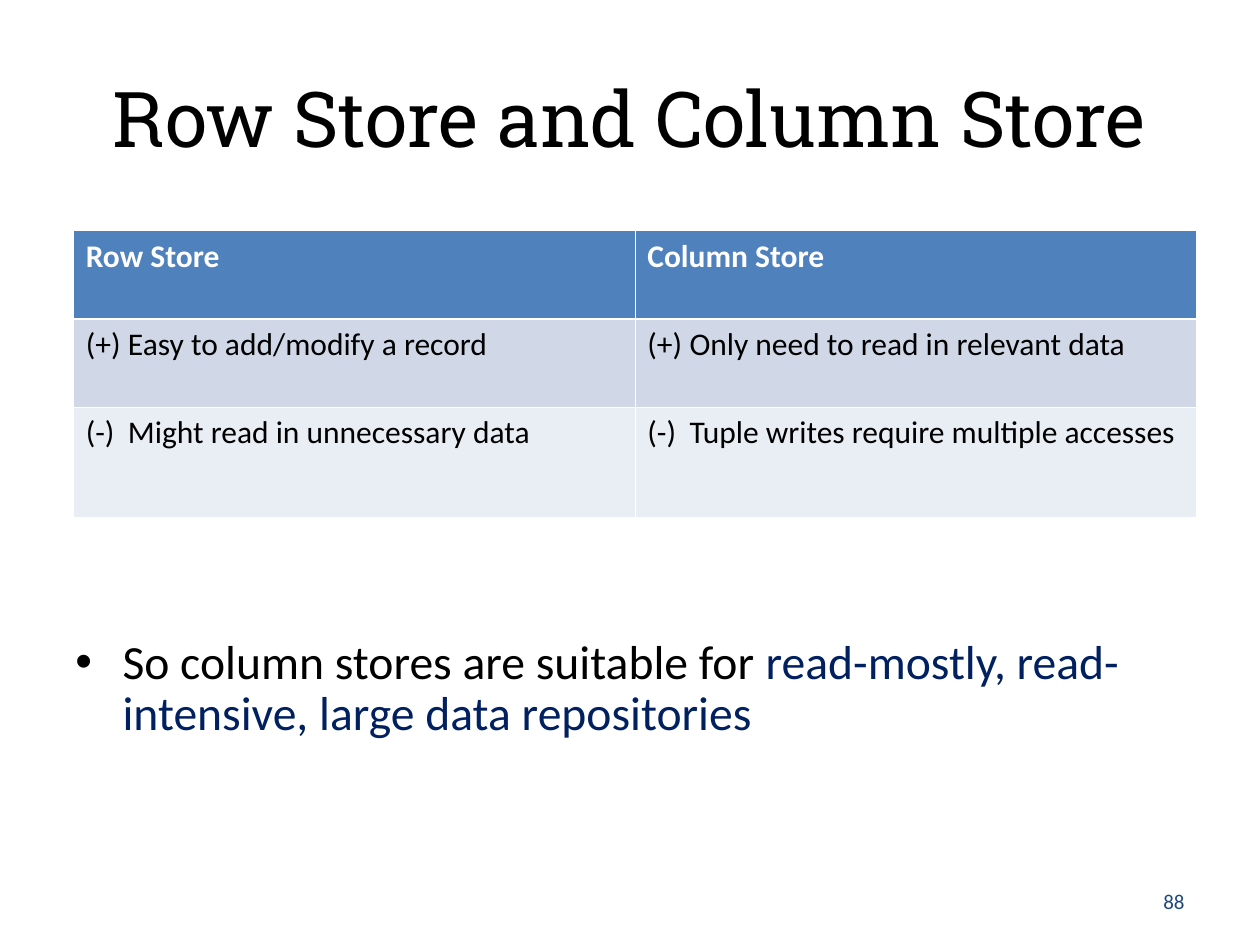
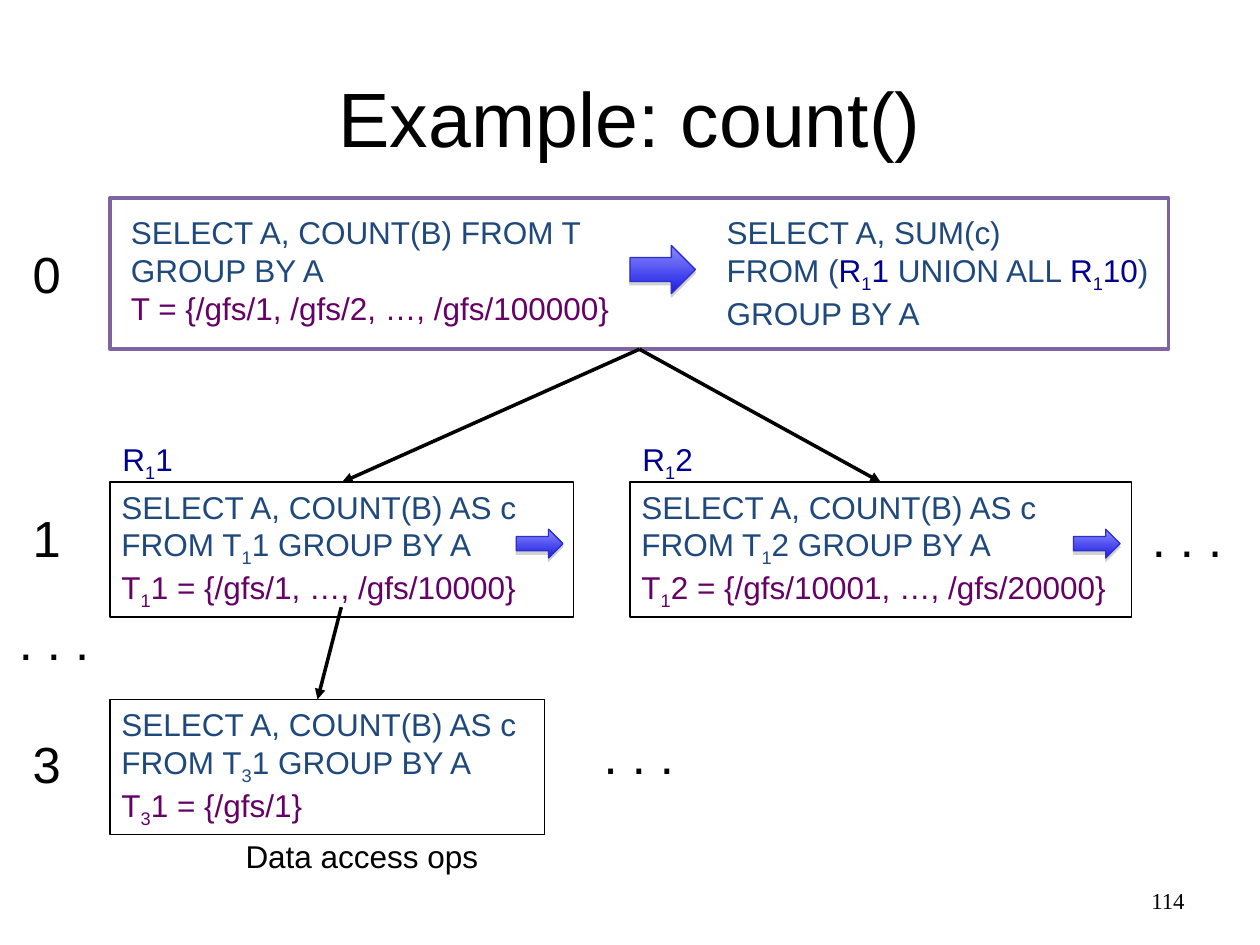
"""Build two slides on column stores and distributed count() queries."""
from dataclasses import dataclass

import lxml.etree
import pptx
import pptx.dml.color
import pptx.enum.shapes
import pptx.enum.text
import pptx.oxml.ns
import pptx.util

Cm = pptx.util.Cm
Pt = pptx.util.Pt
ALIGN = pptx.enum.text.PP_ALIGN
ANCHOR = pptx.enum.text.MSO_ANCHOR
AUTO_SIZE = pptx.enum.text.MSO_AUTO_SIZE
SHAPE = pptx.enum.shapes.MSO_SHAPE

BLACK, WHITE = "000000", "FFFFFF"
BLUE, NAVY, PURPLE = "1F497D", "000090", "660066"
EMPHASIS, ROOT_BORDER = "002060", "8064A2"
HEADER_FILL, ODD_FILL, EVEN_FILL = "4F81BD", "D0D8E8", "E9EDF4"
ARROW_TOP, ARROW_BOTTOM, ARROW_LINE = "8B8BFF", "1C1CE3", "2E2ECB"
TIGHT_MARGINS, WIDE_MARGINS = (0.23, 0.11), (0.25, 0.13)
THIN, THICK = 0.45, 1.47


@dataclass(frozen=True)
class Box:
    """Position and size in centimetres."""
    left: float
    top: float
    width: float
    height: float

    def lengths(self) -> tuple:
        return Cm(self.left), Cm(self.top), Cm(self.width), Cm(self.height)


@dataclass(frozen=True)
class Span:
    """A piece of text with one colour."""
    text: str
    color: str = BLACK
    subscript: bool = False


@dataclass(frozen=True)
class Style:
    """Font settings shared by the spans of a text."""
    font: str
    size: float
    bold: bool = False


@dataclass(frozen=True)
class Label:
    """A one-line text beside the query tree."""
    box: Box
    spans: tuple
    size: float


@dataclass(frozen=True)
class Query:
    """A bordered query over one table partition."""
    box: Box
    level: str
    index: str
    files: str


TITLE_BOX = Box(1.27, 0.76, 22.86, 3.18)
NUMBER_BOX = Box(18.21, 17.65, 5.92, 1.02)
CODE = Style("Arial", 18)


def rgb(color: str) -> pptx.dml.color.RGBColor:
    return pptx.dml.color.RGBColor.from_string(color)


def add_xml(parent, tag: str, **attributes: str):
    """Append a DrawingML element."""
    return lxml.etree.SubElement(parent, pptx.oxml.ns.qn(f"a:{tag}"), attributes)


def add_spans(paragraph, spans: tuple, style: Style) -> None:
    """Add formatted runs, with line breaks at newlines."""
    for span in spans:
        for position, text in enumerate(span.text.split("\n")):
            if position:
                paragraph.add_line_break()
            if not text:
                continue
            run = paragraph.add_run()
            run.text = text
            run.font.name, run.font.size = style.font, Pt(style.size)
            run.font.bold = style.bold
            run.font.color.rgb = rgb(span.color)
            if span.subscript:
                run._r.get_or_add_rPr().set("baseline", "-25000")


def set_margins(target, margins: tuple) -> None:
    target.margin_left = target.margin_right = Cm(margins[0])
    target.margin_top = target.margin_bottom = Cm(margins[1])


def fill_frame(frame, paragraphs: tuple, style: Style, margins: tuple = TIGHT_MARGINS,
               align=ALIGN.LEFT, anchor=ANCHOR.TOP) -> None:
    """Set up a text frame and write its paragraphs."""
    frame.word_wrap = True
    frame.auto_size = AUTO_SIZE.NONE
    frame.vertical_anchor = anchor
    set_margins(frame, margins)
    for position, spans in enumerate(paragraphs):
        paragraph = frame.add_paragraph() if position else frame.paragraphs[0]
        paragraph.alignment = align
        add_spans(paragraph, spans, style)


def add_text(slide, box: Box, paragraphs: tuple, style: Style, **options) -> None:
    fill_frame(slide.shapes.add_textbox(*box.lengths()).text_frame, paragraphs, style, **options)


def place(shape, box: Box) -> None:
    shape.left, shape.top, shape.width, shape.height = box.lengths()


def add_slide(presentation, layout: int, title: str, title_font: str, number: Span, number_style: Style):
    """Add a slide with its title and number."""
    slide = presentation.slides.add_slide(presentation.slide_layouts[layout])
    place(slide.shapes.title, TITLE_BOX)
    fill_frame(slide.shapes.title.text_frame, ((Span(title),),), Style(title_font, 44),
               margins=WIDE_MARGINS, align=ALIGN.CENTER, anchor=ANCHOR.MIDDLE)
    add_text(slide, NUMBER_BOX, ((number,),), number_style, margins=WIDE_MARGINS,
             align=ALIGN.RIGHT, anchor=ANCHOR.MIDDLE)
    return slide


def add_rectangle(slide, box: Box, color: str, width: float):
    """Add an unfilled rectangle with a border."""
    rectangle = slide.shapes.add_shape(SHAPE.RECTANGLE, *box.lengths())
    rectangle.shadow.inherit = False
    rectangle.fill.background()
    rectangle.line.color.rgb = rgb(color)
    rectangle.line.width = Pt(width)
    return rectangle


def add_block_arrow(slide, box: Box) -> None:
    """Add a shaded arrow pointing right."""
    arrow = slide.shapes.add_shape(SHAPE.RIGHT_ARROW, *box.lengths())
    arrow.fill.gradient()
    arrow.fill.gradient_angle = 270
    for stop, color in zip(arrow.fill.gradient_stops, (ARROW_TOP, ARROW_BOTTOM)):
        stop.color.rgb = rgb(color)
    arrow.line.color.rgb = rgb(ARROW_LINE)
    arrow.line.width = Pt(0.75)
    arrow.shadow.inherit = False
    effects = arrow._element.spPr.find(pptx.oxml.ns.qn("a:effectLst"))
    shadow = add_xml(effects, "outerShdw", blurRad="0", dist=str(Pt(1.8)), dir="5400000", rotWithShape="0")
    add_xml(add_xml(shadow, "srgbClr", val="808080"), "alpha", val="35000")


def add_link(slide, start: tuple = (0, 0), end: tuple = (0, 0)):
    """Add a straight line that ends in an arrowhead."""
    link = slide.shapes.add_connector(pptx.enum.shapes.MSO_CONNECTOR.STRAIGHT,
                                      *(Cm(value) for value in start + end))
    link.line.color.rgb = rgb(BLACK)
    link.line.width = Pt(2)
    add_xml(link.line._get_or_add_ln(), "tailEnd", type="triangle")
    add_xml(link._element.spPr, "effectLst")
    return link


def indexed(name: str, level: str, index: str, color: str) -> tuple:
    """Return a name with a subscript level and an index."""
    return Span(name, color), Span(level, color, subscript=True), Span(index, color)


def set_borders(cell, top: float, bottom: float) -> None:
    """Give a cell white borders."""
    properties = cell._tc.get_or_add_tcPr()
    for side, width in (("L", THIN), ("R", THIN), ("T", top), ("B", bottom)):
        border = add_xml(properties, f"ln{side}", w=str(Pt(width)))
        add_xml(add_xml(border, "solidFill"), "srgbClr", val=WHITE)


def add_comparison_table(slide) -> None:
    """Add the table of strengths and weaknesses."""
    rows = (
        (1.78, HEADER_FILL, WHITE, THIN, THICK, ("Row Store", "Column Store")),
        (1.78, ODD_FILL, BLACK, THICK, THIN,
         ("(+)\tEasy to add/modify a record", "(+)\tOnly need to read in relevant data")),
        (2.21, EVEN_FILL, BLACK, THIN, THIN,
         ("(-)\tMight read in unnecessary data", "(-)\tTuple writes require multiple accesses")),
    )
    table = slide.shapes.add_table(len(rows), 2, *Box(1.48, 4.65, 22.64, 5.77).lengths()).table
    for column in table.columns:
        column.width = Cm(11.32)
    for row_index, (height, fill, color, top, bottom, texts) in enumerate(rows):
        table.rows[row_index].height = Cm(height)
        for column_index, text in enumerate(texts):
            cell = table.cell(row_index, column_index)
            set_borders(cell, top, bottom)
            cell.fill.solid()
            cell.fill.fore_color.rgb = rgb(fill)
            set_margins(cell, WIDE_MARGINS)
            paragraph = cell.text_frame.paragraphs[0]
            tabs = add_xml(paragraph._p.get_or_add_pPr(), "tabLst")
            add_xml(tabs, "tab", pos=str(Cm(0.85)), algn="l")
            add_spans(paragraph, (Span(text, color),), Style("Calibri", 18, bold=row_index == 0))


def build_store_slide(presentation) -> None:
    """Compare row stores with column stores."""
    slide = add_slide(presentation, 1, "Row Store and Column Store", "Roboto Slab",
                      Span("88", BLUE), Style("Calibri", 12))
    add_comparison_table(slide)
    body = slide.placeholders[1]
    place(body, Box(1.27, 12.73, 22.86, 3.6))
    conclusion = (Span("So column stores are suitable for "),
                  Span("read-mostly, read-intensive, large data repositories", EMPHASIS))
    paragraph = body.text_frame.paragraphs[0]
    properties = paragraph._p.get_or_add_pPr()
    properties.set("marL", str(Cm(0.95)))
    properties.set("indent", str(Cm(-0.95)))
    add_xml(properties, "buFont", typeface="Arial")
    add_xml(properties, "buChar", char="•")
    paragraph.line_spacing = 0.9
    paragraph.space_before = Pt(0)
    fill_frame(body.text_frame, (conclusion,), Style("Calibri", 27.2), margins=WIDE_MARGINS)


def add_query(slide, query: Query):
    """Add a query over one partition and return its rectangle."""
    rectangle = add_rectangle(slide, query.box, BLACK, 0.75)
    table_name = indexed("T", query.level, query.index, BLUE)
    statement = (Span("SELECT A, COUNT(B) AS c\nFROM ", BLUE), *table_name, Span(" GROUP BY A", BLUE))
    partition = (*indexed("T", query.level, query.index, PURPLE), Span(f" = {{{query.files}}}", PURPLE))
    fill_frame(rectangle.text_frame, (statement, partition), CODE)
    return rectangle


def build_count_slide(presentation) -> None:
    """Show how count() is split over a serving tree."""
    slide = add_slide(presentation, 5, "Example: count()", "Arial",
                      Span("114"), Style("Times New Roman", 13))
    root = add_rectangle(slide, Box(2.22, 3.99, 21.34, 3.05), ROOT_BORDER, 2)
    add_text(slide, Box(2.41, 4.19, 11.25, 2.51), (
        (Span("SELECT A, COUNT(B) FROM T GROUP BY A", BLUE),),
        (Span("T = {/gfs/1, /gfs/2, …, /gfs/100000}", PURPLE),),
    ), CODE)
    add_text(slide, Box(14.42, 4.19, 9.35, 2.62), ((
        Span("SELECT A, SUM(c)\nFROM (", BLUE), *indexed("R", "1", "1", NAVY),
        Span(" UNION ALL ", BLUE), *indexed("R", "1", "10", NAVY),
        Span(")\nGROUP BY A", BLUE),
    ),), CODE)

    children = (
        Query(Box(2.22, 9.72, 9.35, 2.72), "1", "1", "/gfs/1, …, /gfs/10000"),
        Query(Box(12.7, 9.72, 10.11, 2.72), "1", "2", "/gfs/10001, …, /gfs/20000"),
    )
    for query in children:
        rectangle = add_query(slide, query)
        link = add_link(slide)
        link.begin_connect(root, 2)
        link.end_connect(rectangle, 0)
    add_query(slide, Query(Box(2.22, 14.1, 8.76, 2.72), "3", "1", "/gfs/1"))
    add_link(slide, (6.88, 12.24), (6.4, 14.1))

    levels = [Label(Box(0.43, top, 1.15, 1.45), (Span(text),), 29)
              for text, top in (("0", 4.78), ("1", 10.11), ("3", 14.66))]
    ellipses = [Label(Box(left, top, 2.1, 1.45), (Span(". . ."),), 29)
                for left, top in ((22.99, 10.11), (0.15, 12.19), (11.94, 14.48))]
    results = [Label(Box(query.box.left + 0.02, 8.76, 1.65, 1.09),
                     indexed("R", query.level, query.index, NAVY), 18) for query in children]
    caption = Label(Box(4.72, 16.76, 5.4, 0.99), (Span("Data access ops"),), 18)
    for label in (*levels, *ellipses, *results, caption):
        add_text(slide, label.box, (label.spans,), Style("Arial", label.size))

    for box in (Box(12.7, 4.95, 1.32, 0.97), Box(10.41, 10.67, 0.94, 0.58), Box(21.64, 10.67, 0.94, 0.58)):
        add_block_arrow(slide, box)


def main() -> None:
    presentation = pptx.Presentation()
    presentation.slide_width, presentation.slide_height = Cm(25.4), Cm(19.05)
    build_store_slide(presentation)
    build_count_slide(presentation)
    presentation.save("out.pptx")


if __name__ == "__main__":
    main()
